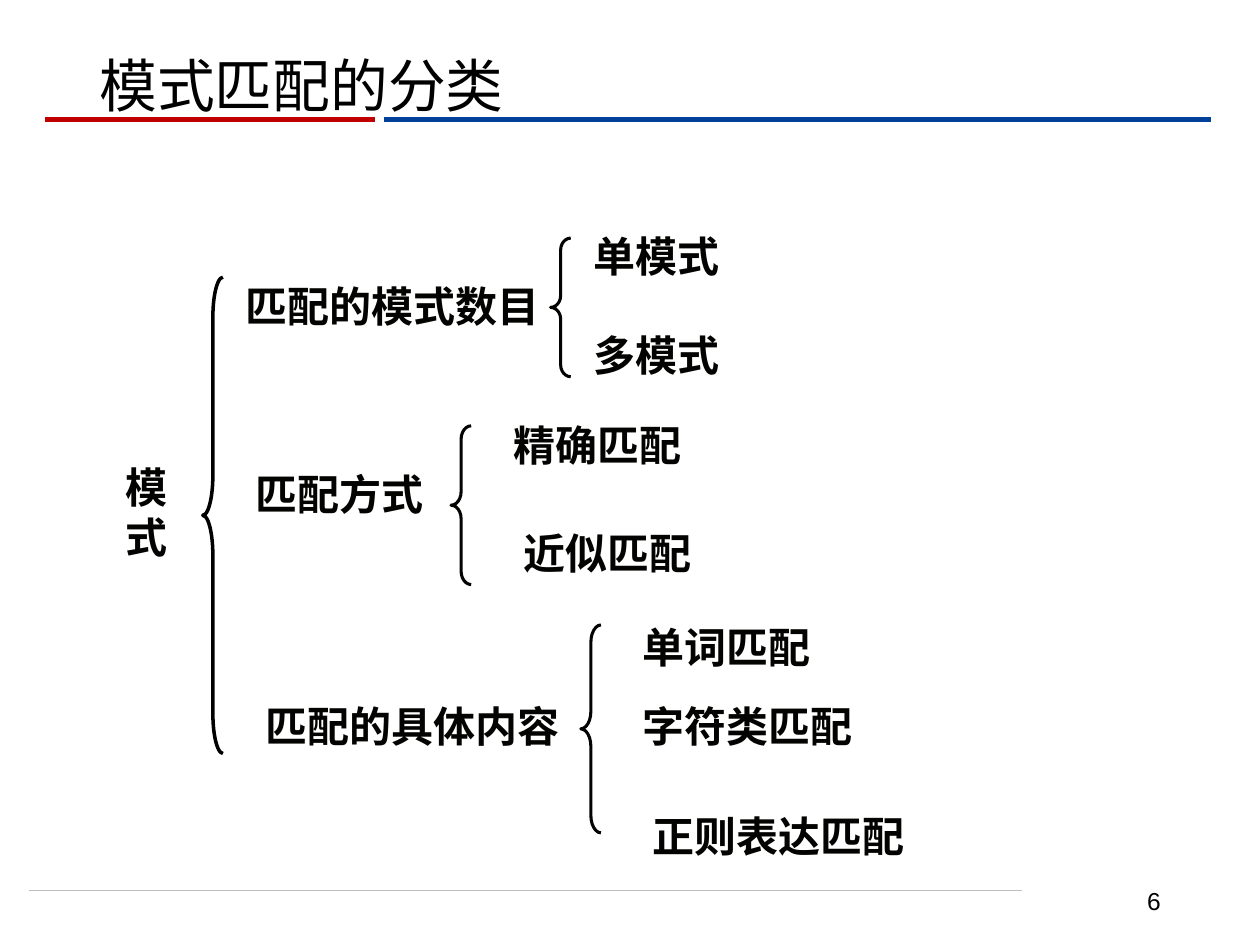
from pptx import Presentation
from pptx.dml.color import RGBColor
from pptx.enum import shapes, text
from pptx.oxml import ns
from pptx.util import Inches, Pt
from lxml import etree

INK, BLACK = "030301", "000000"
LABEL = {"size": Pt(24), "name": "Arial", "bold": True}
TITLE = {"size": Pt(33), "name": "Karla", "bold": False}
NUMBER = {"size": Pt(14), "name": "Arial", "bold": False}
LABEL_HEIGHT = 0.5

RULES = [
    (0.23, 8.11, 7.07, "BFBFBF", 0.5),
    (3.05, 9.61, 0.95, "004299", 3),
    (0.36, 2.98, 0.95, "C00000", 3),
]
ROOT = ("模式", (0.9, 3.61, 0.55, 1.35))
ROOT_BRACE = (1.61, 2.2, 3.78, 1.99, BLACK, 2)
BRANCHES = [
    {
        "label": ("匹配的模式数目", 1.85, 2.18, 2.6),
        "brace": (4.37, 1.89, 1.1, 0.59),
        "kinds": [("单模式", 4.61, 1.78, 2.36), ("多模式", 4.61, 2.57, 1.73)],
    },
    {
        "label": ("匹配方式", 1.93, 3.67, 2.52),
        "brace": (3.58, 3.38, 1.26, 0.67),
        "kinds": [("精确匹配", 3.98, 3.28, 2.36), ("近似匹配", 4.06, 4.14, 2.36)],
    },
    {
        "label": ("匹配的具体内容", 2.01, 5.51, 2.84),
        "brace": (4.61, 4.96, 1.65, 0.87),
        "kinds": [
            ("单词匹配", 5, 4.88, 2.36),
            ("字符类匹配", 5, 5.51, 2.36),
            ("正则表达匹配", 5.08, 6.38, 2.36),
        ],
    },
]


def rgb(value):
    return RGBColor.from_string(value)


def add_rule(slide, left, right, y, color, width):
    rule = slide.shapes.add_connector(
        shapes.MSO_CONNECTOR.STRAIGHT, Inches(left), Inches(y), Inches(right), Inches(y)
    )
    rule.line.color.rgb = rgb(color)
    rule.line.width = Pt(width)
    etree.SubElement(rule._element.spPr, ns.qn("a:effectLst"))


def add_text(slide, words, box, font, color=INK, anchor="TOP", align="LEFT", spacing=1.0):
    frame = slide.shapes.add_textbox(*map(Inches, box)).text_frame
    frame.word_wrap = True
    frame.vertical_anchor = text.MSO_ANCHOR[anchor]
    paragraph = frame.paragraphs[0]
    paragraph.alignment = text.PP_ALIGN[align]
    paragraph.line_spacing = spacing
    run = paragraph.add_run()
    run.text = words
    for key, value in font.items():
        setattr(run.font, key, value)
    run.font.color.rgb = rgb(color)


def add_label(slide, words, left, top, width):
    add_text(slide, words, (left, top, width, LABEL_HEIGHT), LABEL)


def add_brace(slide, left, top, height, curve, color=INK, width=1.75):
    brace = slide.shapes.add_shape(
        shapes.MSO_SHAPE.LEFT_BRACE, *map(Inches, (left, top, 0.16, height))
    )
    brace.adjustments[0] = curve
    brace.adjustments[1] = 0.5
    brace.fill.background()
    brace.line.color.rgb = rgb(color)
    brace.line.width = Pt(width)
    brace.shadow.inherit = False


def main():
    deck = Presentation()
    deck.slide_width, deck.slide_height = Inches(10), Inches(7.5)
    slide = deck.slides.add_slide(deck.slide_layouts[6])
    for rule in RULES:
        add_rule(slide, *rule)
    add_text(slide, "6", (7.06, 6.95, 2.25, 0.4), NUMBER, BLACK, "MIDDLE", "RIGHT")
    add_text(slide, "模式匹配的分类", (0.69, -0.02, 8.62, 1.45), TITLE, BLACK,
             "MIDDLE", spacing=0.9)
    add_text(slide, *ROOT, LABEL)
    add_brace(slide, *ROOT_BRACE)
    for branch in BRANCHES:
        add_label(slide, *branch["label"])
        add_brace(slide, *branch["brace"])
        for kind in branch["kinds"]:
            add_label(slide, *kind)
    deck.save("out.pptx")


if __name__ == "__main__":
    main()
